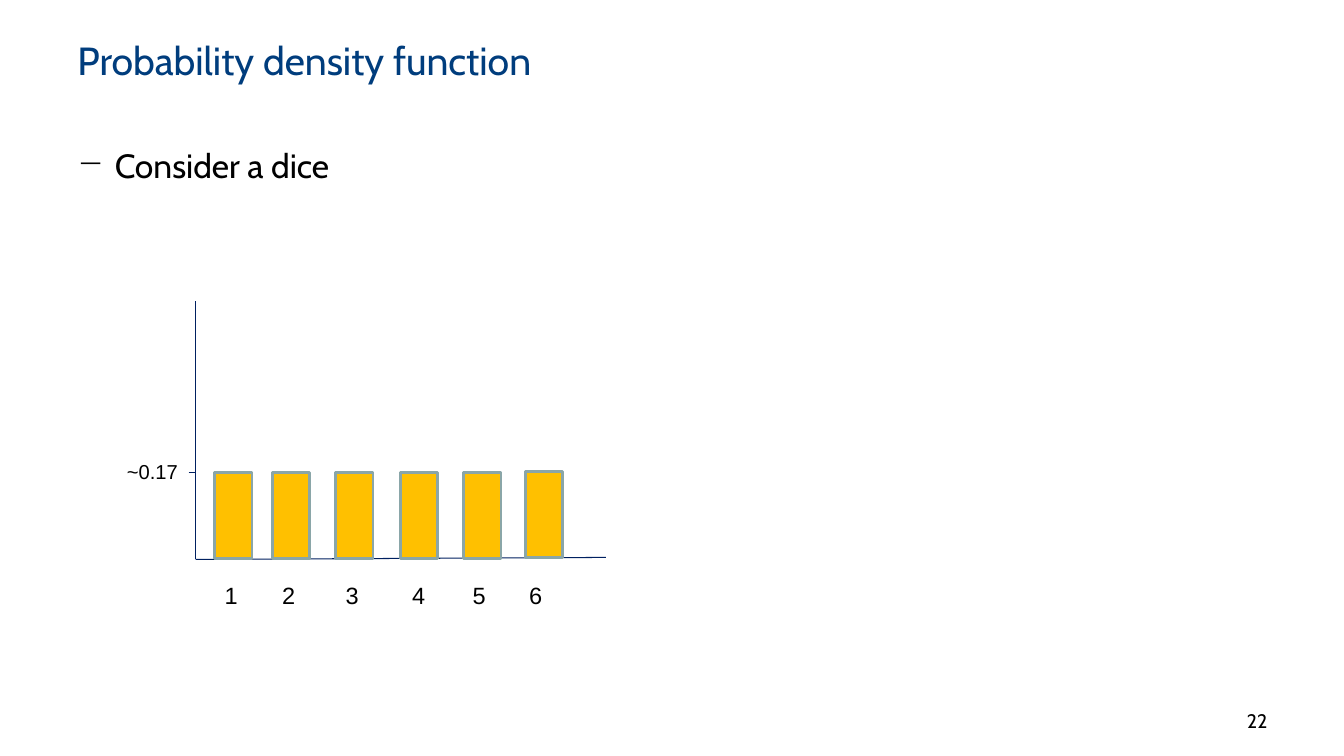
from dataclasses import dataclass

from lxml import etree
from pptx import Presentation
from pptx.dml.color import RGBColor
from pptx.enum import shapes, text
from pptx.oxml import ns
from pptx.slide import Slide
from pptx.text.text import _Paragraph
from pptx.util import Inches, Pt


@dataclass(frozen=True)
class Theme:
    title: str = "003D7D"
    ink: str = "000000"
    axis: str = "002060"
    bar: str = "FFC000"
    bar_edge: str = "8AA6A8"
    heading_font: str = "Cabin"
    label_font: str = "Arial"
    title_size: float = 28
    body_size: float = 24
    number_size: float = 14
    face_size: float = 16.8
    tick_size: float = 14.4
    axis_width: float = 0.75
    bar_width: float = 2


@dataclass(frozen=True)
class Label:
    words: str
    left: float
    top: float
    width: float
    height: float
    size: float
    font: str
    color: str
    wrap: bool = True
    align: text.PP_ALIGN = text.PP_ALIGN.LEFT
    anchor: text.MSO_ANCHOR = text.MSO_ANCHOR.TOP


@dataclass(frozen=True)
class Segment:
    x1: float
    y1: float
    x2: float
    y2: float


@dataclass(frozen=True)
class Bar:
    face: str
    left: float
    label_left: float
    top: float = 4.69


THEME = Theme()
BAR_WIDTH, BAR_HEIGHT = 0.37, 0.85
AXIS_X, AXIS_Y = 1.94, 5.55

TITLE = Label("Probability density function", 0.67, -0.03, 12, 1.25, THEME.title_size,
              THEME.heading_font, THEME.title, anchor=text.MSO_ANCHOR.MIDDLE)
BODY = Label("Consider a dice", 0.67, 1.39, 12, 5.43, THEME.body_size,
             THEME.heading_font, THEME.ink)
NUMBER = Label("22", 9.56, 6.98, 3.11, 0.37, THEME.number_size,
               THEME.heading_font, THEME.ink, align=text.PP_ALIGN.RIGHT)
TICK = Label("~0.17", 1.16, 4.51, 0.71, 0.34, THEME.tick_size,
             THEME.label_font, THEME.ink, wrap=False)

AXES = [
    Segment(AXIS_X, 2.99, AXIS_X, AXIS_Y),
    Segment(6.01, 5.53, AXIS_X, AXIS_Y),
    Segment(1.87, 4.69, AXIS_X, 4.69),
]
BARS = [
    Bar("1", 2.13, 2.13),
    Bar("2", 2.7, 2.7),
    Bar("3", 3.33, 3.33),
    Bar("4", 3.97, 3.99),
    Bar("5", 4.6, 4.59),
    Bar("6", 5.21, 5.15, 4.68),
]


def add_label(s: Slide, label: Label) -> _Paragraph:
    sp = s.shapes.add_textbox(Inches(label.left), Inches(label.top),
                              Inches(label.width), Inches(label.height))
    tf = sp.text_frame
    tf.word_wrap = label.wrap
    tf.vertical_anchor = label.anchor
    if not label.wrap:
        tf.auto_size = text.MSO_AUTO_SIZE.SHAPE_TO_FIT_TEXT
    p = tf.paragraphs[0]
    p.alignment = label.align
    r = p.add_run()
    r.text = label.words
    r.font.name = label.font
    r.font.size = Pt(label.size)
    r.font.color.rgb = RGBColor.from_string(label.color)
    return p


def add_bullet(p: _Paragraph, mark: str, indent: float) -> None:
    pPr = p._p.get_or_add_pPr()
    pPr.set("marL", str(Inches(indent)))
    pPr.set("indent", str(-Inches(indent)))
    etree.SubElement(pPr, ns.qn("a:buChar")).set("char", mark)


def add_segment(s: Slide, line: Segment) -> None:
    sp = s.shapes.add_connector(shapes.MSO_CONNECTOR.STRAIGHT, Inches(line.x1),
                                Inches(line.y1), Inches(line.x2), Inches(line.y2))
    sp.line.color.rgb = RGBColor.from_string(THEME.axis)
    sp.line.width = Pt(THEME.axis_width)
    etree.SubElement(sp._element.spPr, ns.qn("a:effectLst"))


def add_bar(s: Slide, bar: Bar) -> None:
    sp = s.shapes.add_shape(shapes.MSO_SHAPE.RECTANGLE, Inches(bar.left), Inches(bar.top),
                            Inches(BAR_WIDTH), Inches(BAR_HEIGHT))
    sp.shadow.inherit = False
    sp.fill.solid()
    sp.fill.fore_color.rgb = RGBColor.from_string(THEME.bar)
    sp.line.color.rgb = RGBColor.from_string(THEME.bar_edge)
    sp.line.width = Pt(THEME.bar_width)


def main() -> None:
    prs = Presentation()
    prs.slide_width, prs.slide_height = Inches(13.33), Inches(7.5)
    s = prs.slides.add_slide(prs.slide_layouts[6])
    add_label(s, TITLE)
    p = add_label(s, BODY)
    p.space_after = Pt(7.2)
    add_bullet(p, "−", 0.37)
    add_label(s, NUMBER)
    for line in AXES:
        add_segment(s, line)
    for bar in BARS:
        add_bar(s, bar)
        add_label(s, Label(bar.face, bar.label_left, 5.71, 0.33, 0.38, THEME.face_size,
                           THEME.label_font, THEME.ink, wrap=False))
    add_label(s, TICK)
    prs.save("out.pptx")


if __name__ == "__main__":
    main()
